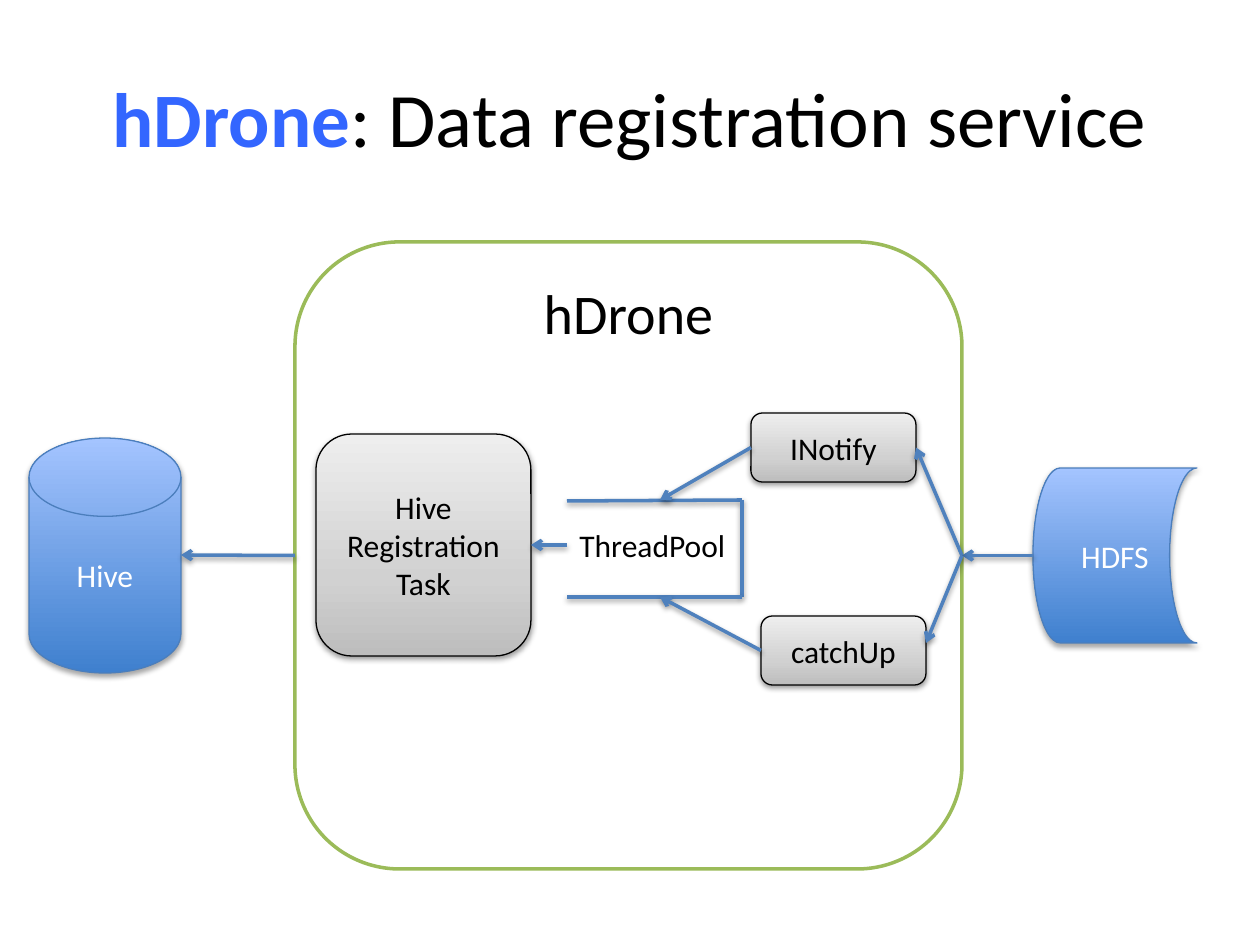
from copy import deepcopy

from lxml.etree import SubElement
from pptx import Presentation
from pptx.dml.color import RGBColor
from pptx.enum.shapes import MSO_CONNECTOR, MSO_SHAPE
from pptx.enum.text import MSO_ANCHOR, PP_ALIGN
from pptx.oxml.ns import qn
from pptx.util import Emu, Pt

COLORS = {
    "accent": "3366FF", "text": "000000", "white": "FFFFFF",
    "frame": "9BBB59", "store_line": "4B7EBC", "arrow": "4F81BD",
    "blue_dark": "3F80CE", "blue_light": "A4C4FF",
    "gray_dark": "BDBDBD", "gray_mid": "D1D1D1", "gray_light": "EEEEEE",
}
BLUE = [(0, "blue_dark"), (1, "blue_light")]
GRAY = [(0, "gray_dark"), (0.35, "gray_mid"), (1, "gray_light")]
LEFT, RIGHT = 1, 3


def px(n):
    return Emu(round(n * 914400 / 126))


def rgb(name):
    return RGBColor.from_string(COLORS[name])


class Diagram:
    """Draws styled diagram elements on the current slide."""

    font = "Calibri"

    def __init__(self, slide):
        self.slide = slide
        self.shapes = slide.shapes

    def format_run(self, r, size, color, bold=False):
        r.font.name = self.font
        r.font.size = Pt(size)
        r.font.bold = bold
        r.font.color.rgb = rgb(color)

    def set_text(self, sp, text, size, color, align=PP_ALIGN.CENTER, anchor=MSO_ANCHOR.MIDDLE):
        tf = sp.text_frame
        tf.word_wrap = True
        tf.vertical_anchor = anchor
        tf.text = text
        p = tf.paragraphs[0]
        p.alignment = align
        self.format_run(p.runs[0], size, color)

    def title(self, box, parts):
        sp = self.slide.shapes.title
        sp.left, sp.top, sp.width, sp.height = map(px, box)
        sp.text_frame.vertical_anchor = MSO_ANCHOR.MIDDLE
        p = sp.text_frame.paragraphs[0]
        p.alignment = PP_ALIGN.CENTER
        for text, color, bold in parts:
            r = p.add_run()
            r.text = text
            self.format_run(r, 44, color, bold)

    def shadow(self, spPr, dist, alpha):
        effects = spPr.find(qn("a:effectLst"))
        if effects is None:
            effects = SubElement(spPr, qn("a:effectLst"))
        outer = SubElement(effects, qn("a:outerShdw"), blurRad="40000",
                           dist=str(dist), dir="5400000", rotWithShape="0")
        clr = SubElement(outer, qn("a:srgbClr"), val=COLORS["text"])
        SubElement(clr, qn("a:alpha"), val=str(alpha * 1000))

    def gradient(self, sp, stops):
        sp.fill.gradient()
        sp.fill.gradient_angle = 90
        gs = sp.element.spPr.find(qn("a:gradFill")).find(qn("a:gsLst"))
        for _ in stops[2:]:
            gs.append(deepcopy(gs[0]))
        for stop, (position, color) in zip(sp.fill.gradient_stops, stops):
            stop.position = position
            stop.color.rgb = rgb(color)

    def shape(self, kind, box, line, width):
        sp = self.shapes.add_shape(kind, *map(px, box))
        sp.line.color.rgb = rgb(line)
        sp.line.width = Pt(width)
        sp.shadow.inherit = False
        return sp

    def store(self, kind, box, text):
        sp = self.shape(kind, box, "store_line", 0.75)
        self.gradient(sp, BLUE)
        self.shadow(sp.element.spPr, 23000, 35)
        self.set_text(sp, text, 18, "white")
        return sp

    def frame(self, box, text):
        sp = self.shape(MSO_SHAPE.ROUNDED_RECTANGLE, box, "frame", 2)
        sp.fill.solid()
        sp.fill.fore_color.rgb = rgb("white")
        self.set_text(sp, text, 32, "text", anchor=MSO_ANCHOR.TOP)
        return sp

    def task(self, box, text):
        sp = self.shape(MSO_SHAPE.ROUNDED_RECTANGLE, box, "text", 0.75)
        self.gradient(sp, GRAY)
        self.shadow(sp.element.spPr, 20000, 38)
        self.set_text(sp, text, 18, "text")
        return sp

    def label(self, box, text):
        sp = self.shapes.add_textbox(*map(px, box))
        self.set_text(sp, text, 18, "text", PP_ALIGN.LEFT, MSO_ANCHOR.TOP)

    def line(self, start, end, begin=None, finish=None, arrow=True):
        c = self.shapes.add_connector(MSO_CONNECTOR.STRAIGHT, *map(px, start + end))
        if begin:
            c.begin_connect(*begin)
        if finish:
            c.end_connect(*finish)
        c.line.color.rgb = rgb("arrow")
        c.line.width = Pt(2)
        spPr = c.element.spPr
        if arrow:
            SubElement(spPr.find(qn("a:ln")), qn("a:tailEnd"), type="arrow")
        self.shadow(spPr, 20000, 38)

    def queue(self, left, top, right, bottom, text):
        self.shapes = self.slide.shapes.add_group_shape().shapes
        corners = [(left, top + 1), (right, top), (right, bottom), (left, bottom)]
        for start, end in zip(corners, corners[1:]):
            self.line(start, end, arrow=False)
        self.label((left, top + 20, right - left, 50), text)
        self.shapes = self.slide.shapes


def main():
    prs = Presentation()
    prs.slide_width, prs.slide_height = px(1260), px(945)
    d = Diagram(prs.slides.add_slide(prs.slide_layouts[5]))
    d.title((63, 38, 1134, 158), [("hDrone", "accent", True),
                                  (": Data registration service", "text", False)])

    hdfs = d.store(MSO_SHAPE.FLOWCHART_STORED_DATA, (1033, 468, 164, 175), "HDFS")
    d.store(MSO_SHAPE.FLOWCHART_MAGNETIC_DISK, (29, 438, 152, 235), "Hive")
    hdrone = d.frame((295, 242, 667, 627), "hDrone")
    inotify = d.task((751, 413, 165, 69), "INotify")
    catch_up = d.task((761, 616, 165, 69), "catchUp")
    registration = d.task((316, 434, 215, 222), "Hive Registration Task")
    d.queue(567, 500, 742, 597, "ThreadPool")

    entry = (962, 555)
    d.line((1033, 555), entry, (hdfs, LEFT), (hdrone, RIGHT))
    d.line((295, 555), (181, 555), (hdrone, LEFT))
    d.line(entry, (916, 448), (hdrone, RIGHT), (inotify, RIGHT))
    d.line(entry, (926, 643), (hdrone, RIGHT))
    d.line((751, 448), (660, 500), (inotify, LEFT))
    d.line((761, 650), (660, 597), (catch_up, LEFT))
    d.line((567, 545), (531, 545), finish=(registration, RIGHT))
    prs.save("out.pptx")


if __name__ == "__main__":
    main()
